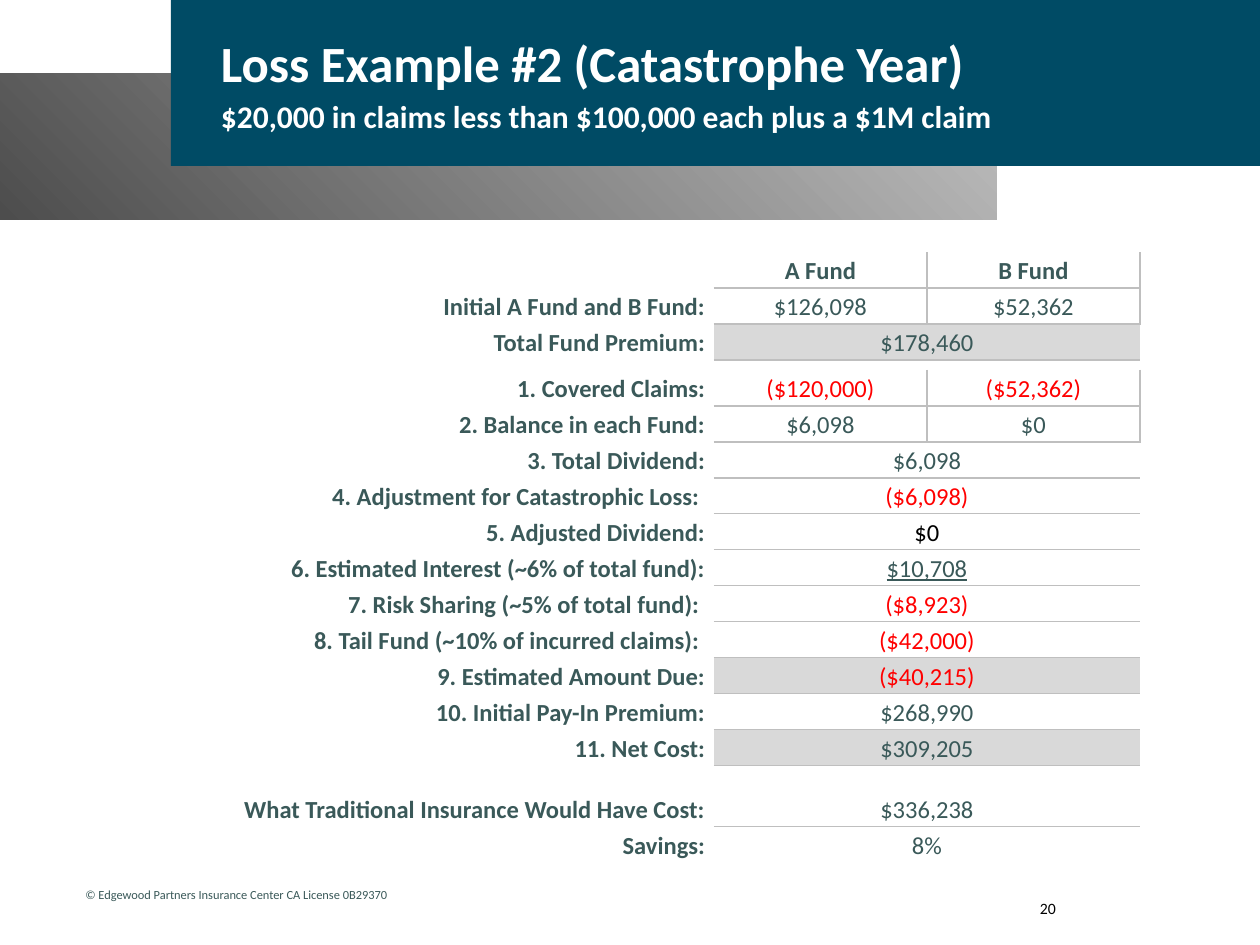
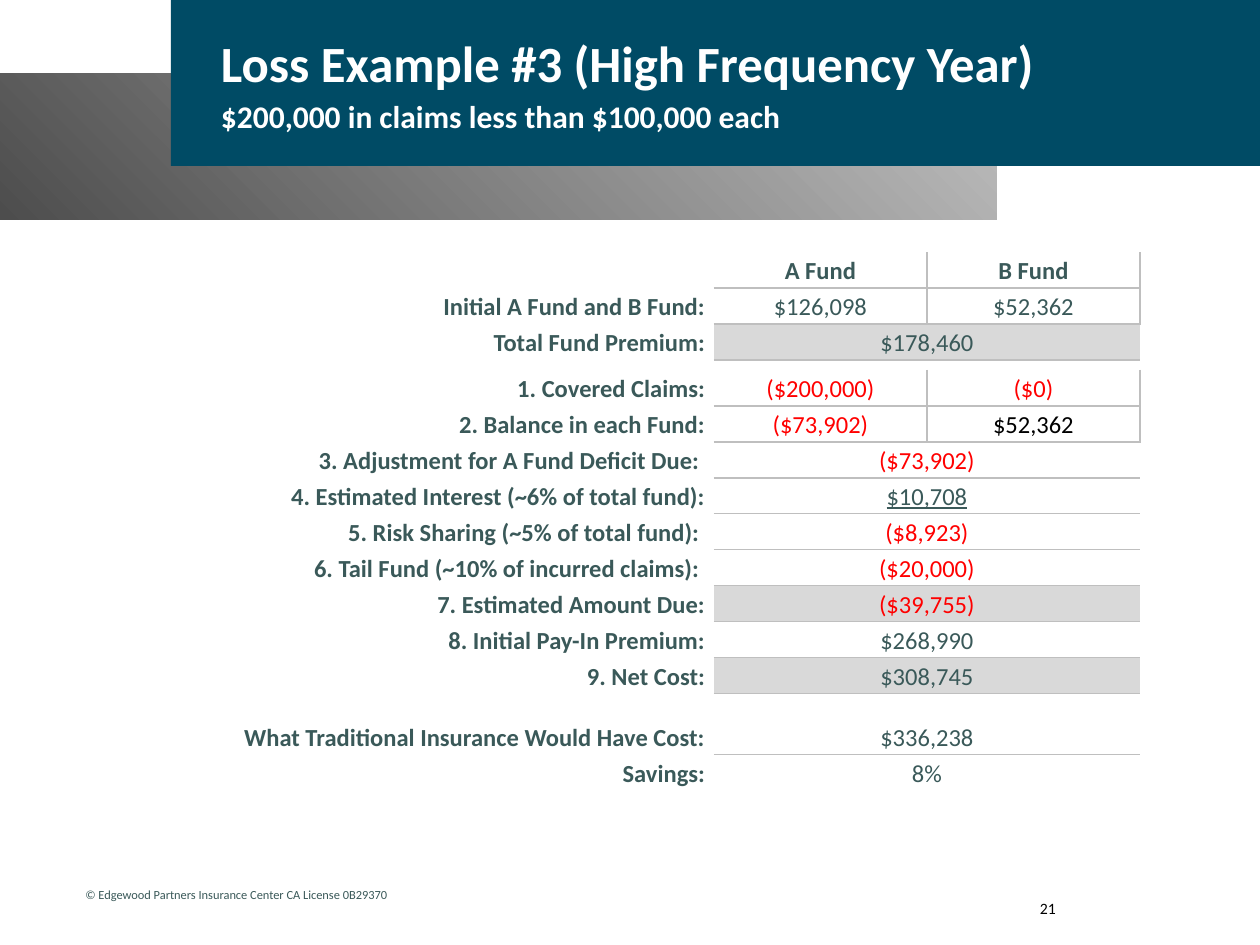
from lxml.etree import SubElement
from pptx import Presentation
from pptx.dml.color import RGBColor
from pptx.enum.shapes import MSO_SHAPE as SHAPE
from pptx.enum.text import MSO_ANCHOR as ANCHOR, PP_ALIGN as ALIGN
from pptx.oxml.ns import qn
from pptx.util import Emu, Pt

COLORS = {"navy": "004B65", "dark": "4D4D4D", "light": "BFBFBF", "shade": "D9D9D9",
          "text": "3A5959", "red": "FF0000", "black": "000000", "white": "FFFFFF"}
FONT = "Calibri"
FOOTER = "© Edgewood Partners Insurance Center CA License 0B29370"
NO_STYLE = "{2D5ABB26-0587-4C30-8999-92F81FD0307C}"

PX = 914400 / 126
COLS = [595, 213, 213, 20]
ROW_H = 36
GAPS = [(10, 4), (25, 3)]

PREMIUM = [
    ("", ["A Fund", "B Fund"], "bold"),
    ("Initial A Fund and B Fund:", ["$126,098", "$52,362"], ""),
    ("Total Fund Premium:", ["$178,460"], "shade"),
]
COMPARISON = [
    ("What Traditional Insurance Would Have Cost:", ["$336,238"], ""),
    ("Savings:", ["8%"], ""),
]
SLIDES = [
    {
        "number": "20",
        "title": "Loss Example #2 (Catastrophe Year)",
        "subtitle": "$20,000 in claims less than $100,000 each plus a $1M claim",
        "results": [
            ("1. Covered Claims:", ["($120,000)", "($52,362)"], ""),
            ("2. Balance in each Fund:", ["$6,098", "$0"], ""),
            ("3. Total Dividend:", ["$6,098"], ""),
            ("4. Adjustment for Catastrophic Loss: ", ["($6,098)"], ""),
            ("5. Adjusted Dividend:", ["$0"], "black"),
            ("6. Estimated Interest (~6% of total fund):", ["$10,708"], "underline"),
            ("7. Risk Sharing (~5% of total fund): ", ["($8,923)"], ""),
            ("8. Tail Fund (~10% of incurred claims): ", ["($42,000)"], ""),
            ("9. Estimated Amount Due:", ["($40,215)"], "shade"),
            ("10. Initial Pay-In Premium:", ["$268,990"], ""),
            ("11. Net Cost:", ["$309,205"], "shade"),
        ],
    },
    {
        "number": "21",
        "title": "Loss Example #3 (High Frequency Year)",
        "subtitle": "$200,000 in claims less than $100,000 each",
        "results": [
            ("1. Covered Claims:", ["($200,000)", "($0)"], ""),
            ("2. Balance in each Fund:", ["($73,902)", "$52,362"], "black"),
            ("3. Adjustment for A Fund Deficit Due: ", ["($73,902)"], ""),
            ("4. Estimated Interest (~6% of total fund):", ["$10,708"], "underline"),
            ("5. Risk Sharing (~5% of total fund): ", ["($8,923)"], ""),
            ("6. Tail Fund (~10% of incurred claims): ", ["($20,000)"], ""),
            ("7. Estimated Amount Due:", ["($39,755)"], "shade"),
            ("8. Initial Pay-In Premium:", ["$268,990"], ""),
            ("9. Net Cost:", ["$308,745"], "shade"),
        ],
    },
]


def px(n):
    return Emu(round(n * PX))


def rgb(name):
    return RGBColor.from_string(COLORS[name])


def add_run(p, text, size, color, bold=False, underline=False):
    r = p.add_run()
    r.text = text
    f = r.font
    f.name, f.size, f.bold, f.underline = FONT, Pt(size), bold, underline
    f.color.rgb = rgb(color)


def no_insets(tf):
    tf.margin_left = tf.margin_right = tf.margin_top = tf.margin_bottom = 0


def add_band(s, *box):
    sp = s.shapes.add_shape(SHAPE.RECTANGLE, *map(px, box))
    sp.shadow.inherit = False
    sp.line.fill.background()
    return sp


def add_text(s, box, text, size, color):
    tf = s.shapes.add_textbox(*map(px, box)).text_frame
    add_run(tf.paragraphs[0], text, size, color)
    return tf


def add_frame(s, title, subtitle, number):
    fill = add_band(s, -1, 73, 998, 147).fill
    fill.gradient()
    fill.gradient_angle = 45
    for stop, color in zip(fill.gradient_stops, ("dark", "light")):
        stop.color.rgb = rgb(color)
    fill = add_band(s, 171, -1, 1091, 167).fill
    fill.solid()
    fill.fore_color.rgb = rgb("navy")
    add_text(s, (73, 881, 372, 28), FOOTER, 7.1, "text").word_wrap = False

    sp = s.shapes.title
    sp.left, sp.top, sp.width, sp.height = map(px, (221, 26, 987, 59))
    s.shapes._spTree.append(sp._element)
    tf = sp.text_frame
    no_insets(tf)
    tf.vertical_anchor = ANCHOR.TOP
    p = tf.paragraphs[0]
    p.alignment, p.line_spacing = ALIGN.LEFT, 1.1
    add_run(p, title, 29, "white", bold=True)
    p.add_line_break()
    add_run(p, subtitle, 18, "white", bold=True)

    tf = add_text(s, (1040, 892, 168, 32), number, 9, "black")
    no_insets(tf)
    tf.word_wrap, tf.vertical_anchor = True, ANCHOR.MIDDLE


def add_borders(cell, sides):
    tcPr = cell._tc.get_or_add_tcPr()
    for i, side in enumerate(side for side in "LRTB" if side in sides):
        ln = SubElement(tcPr, qn(f"a:ln{side}"), w=str(Pt(1)))
        SubElement(SubElement(ln, qn("a:solidFill")), qn("a:srgbClr"), val=COLORS["light"])
        tcPr.insert(i, ln)


def write_cell(cell, text, align, color="text", bold=False, underline=False):
    cell.margin_left = cell.margin_right = px(9)
    p = cell.text_frame.paragraphs[0]
    p.alignment, p.line_spacing, p.space_after = align, 1.15, Pt(1)
    add_run(p, text, 14, color, bold, underline)


def value_color(text, style):
    if text.startswith("("):
        return "red"
    return "black" if style == "black" else "text"


def fill_row(cells, row, above, below):
    label, values, style = row
    if label:
        write_cell(cells[0], label, ALIGN.RIGHT, bold=True)
    split = len(values) == 2
    if not split:
        cells[1].merge(cells[2])
    for cell, text in zip(cells[1:3], values):
        write_cell(cell, text, ALIGN.CENTER, value_color(text, style),
                   style == "bold", style == "underline")
    for cell, inner in zip(cells[1:3], "RL"):
        if style == "shade":
            cell.fill.solid()
            cell.fill.fore_color.rgb = rgb("shade")
        add_borders(cell, "T" * above + "B" * below + inner * split)


def add_fund_table(s, results):
    rows = [*PREMIUM, None, *results, None, *COMPARISON]
    gaps = iter(GAPS)
    t = s.shapes.add_table(len(rows), len(COLS), px(119), px(252),
                           px(sum(COLS)), px(ROW_H * len(rows))).table
    t.first_row = t.horz_banding = False
    t._tbl.tblPr.find(qn("a:tableStyleId")).text = NO_STYLE
    for col, width in zip(t.columns, COLS):
        col.width = px(width)
    for i, row in enumerate(rows):
        cells = list(t.rows[i].cells)
        for cell in cells:
            no_insets(cell)
            cell.fill.background()
        if row:
            height = ROW_H
            fill_row(cells, row, i > 0 and rows[i - 1] is not None,
                     i + 1 < len(rows) and rows[i + 1] is not None)
        else:
            height, span = next(gaps)
            cells[0].merge(cells[span - 1])
        t.rows[i].height = px(height)
        for cell in cells:
            if not cell.text_frame.text:
                cell.text_frame.paragraphs[0]._p.get_or_add_endParaRPr().set("sz", "100")


def main():
    """Build the loss example slides."""
    prs = Presentation()
    prs.slide_width, prs.slide_height = px(1260), px(945)
    for slide in SLIDES:
        s = prs.slides.add_slide(prs.slide_layouts[5])
        add_frame(s, slide["title"], slide["subtitle"], slide["number"])
        add_fund_table(s, slide["results"])
    prs.save("out.pptx")


if __name__ == "__main__":
    main()
